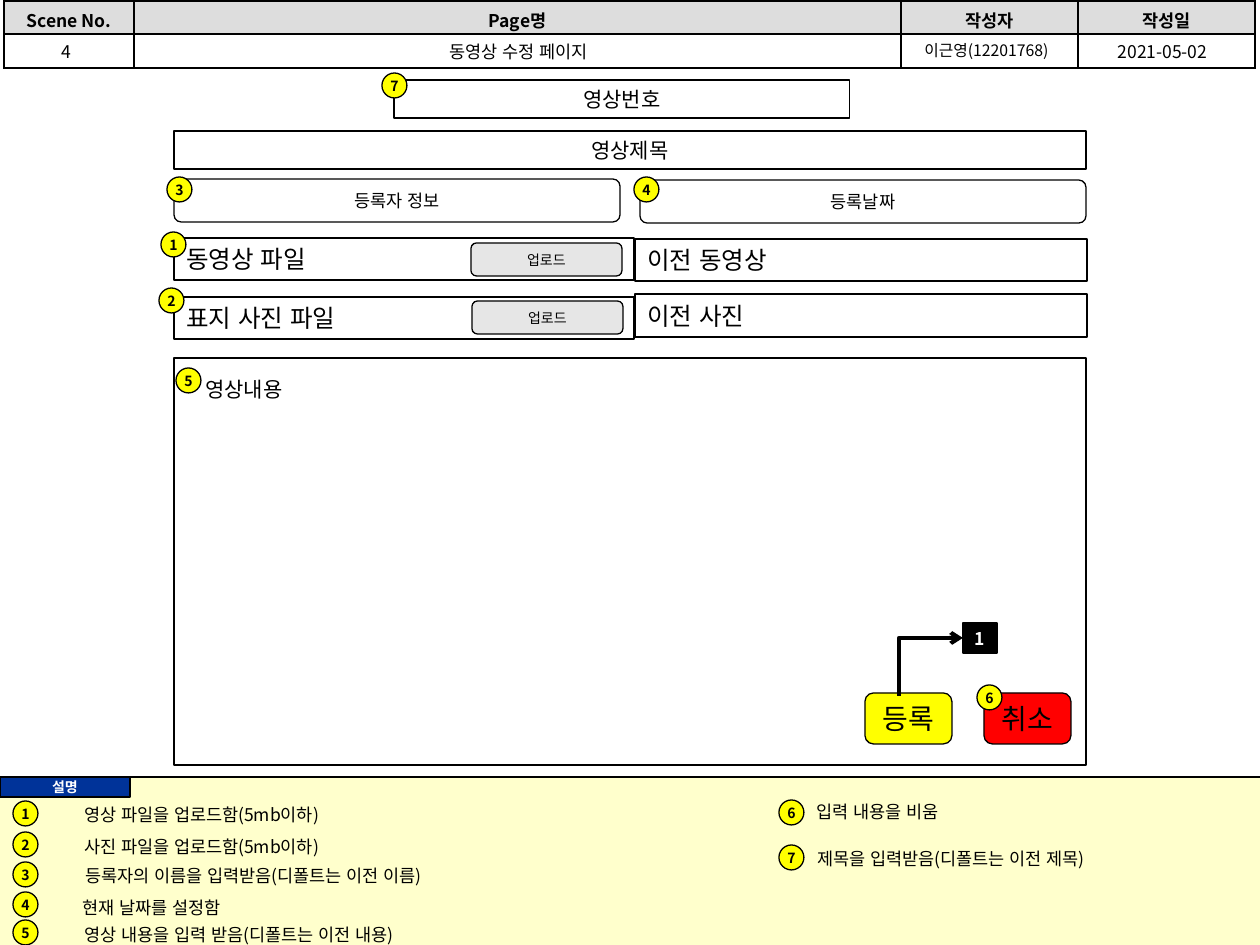
from lxml import etree
from pptx import Presentation
from pptx import util as u
from pptx.dml.color import RGBColor
from pptx.enum import lang, shapes, text
from pptx.oxml import ns

PX = 914400 // 126
FONT = "Noto Sans CJK KR"
COLORS = {
    "black": "000000", "white": "FFFFFF", "header": "DDDDDD", "button": "E6E6E6",
    "yellow": "FFFF00", "red": "FF0000", "navy": "003399", "cream": "FFFFCC",
}
KINDS = shapes.MSO_SHAPE
CENTER, LEFT = text.PP_ALIGN.CENTER, text.PP_ALIGN.LEFT
MIDDLE, TOP = text.MSO_ANCHOR.MIDDLE, text.MSO_ANCHOR.TOP


def write(frame, words, size, color="black", bold=False, align=CENTER):
    """Fill a text frame with one formatted paragraph."""
    paragraph = frame.paragraphs[0]
    paragraph.alignment = align
    run = paragraph.add_run()
    run.text = words
    font_format = {"name": FONT, "size": u.Pt(size), "bold": bold,
                   "language_id": lang.MSO_LANGUAGE_ID.KOREAN}
    for key, value in font_format.items():
        setattr(run.font, key, value)
    run.font.color.rgb = RGBColor.from_string(COLORS[color])
    etree.SubElement(run.font._element, ns.qn("a:ea"), typeface=FONT)


def box(kind, at, fill=None, words="", size=10, color="black", bold=False,
        align=CENTER, anchor=MIDDLE, line=True, tight=False):
    """Draw a shape at a pixel rectangle, with its text inside."""
    shape = slide.shapes.add_shape(kind, *(n * PX for n in at))
    shape.shadow.inherit = False
    if fill:
        shape.fill.solid()
        shape.fill.fore_color.rgb = RGBColor.from_string(COLORS[fill])
    else:
        shape.fill.background()
    if line:
        shape.line.color.rgb = RGBColor.from_string(COLORS["black"])
        shape.line.width = u.Pt(0.75)
    else:
        shape.line.fill.background()
    frame = shape.text_frame
    frame.word_wrap = not tight
    frame.vertical_anchor = anchor
    if tight:
        for side in ("left", "top", "right", "bottom"):
            setattr(frame, "margin_" + side, 0)
    if words:
        write(frame, words, size, color, bold, align)


deck = Presentation()
deck.slide_width, deck.slide_height = 1260 * PX, 945 * PX
slide = deck.slides.add_slide(deck.slide_layouts[6])

# Description panel
box(KINDS.RECTANGLE, (0, 777, 1260, 168), "cream", line=False)

# Page header: titles in the grid, values set over its second row
titles = ["Scene No.", "Page명", "작성자", "작성일"]
column_widths = [130, 767, 177, 177]
header = slide.shapes.add_table(2, 4, 4 * PX, PX, sum(column_widths) * PX, 67 * PX).table
for column, width in zip(header.columns, column_widths):
    column.width = width * PX
for r, height in enumerate((33, 34)):
    header.rows[r].height = height * PX
    for c, title in enumerate(titles):
        cell = header.cell(r, c)
        cell.margin_top, cell.margin_bottom = 6 * PX, 0
        if r == 0:
            write(cell.text_frame, title, 10, bold=True)
        else:
            etree.SubElement(cell.text_frame.paragraphs[0]._p, ns.qn("a:endParaRPr"), sz="1000")
        properties = cell._tc.get_or_add_tcPr()
        for edge in ("lnL", "lnR", "lnT", "lnB"):
            border = etree.SubElement(properties, ns.qn("a:" + edge), w=str(u.Pt(1)))
            solid = etree.SubElement(border, ns.qn("a:solidFill"))
            etree.SubElement(solid, ns.qn("a:srgbClr"), val=COLORS["black"])
        cell.fill.solid()
        cell.fill.fore_color.rgb = RGBColor.from_string(COLORS["white" if r else "header"])
for left, width, words, size in [
    (0, 133, "4", 10),
    (140, 757, "동영상 수정 페이지", 10),
    (903, 167, "이근영(12201768)", 9),
    (1079, 167, "2021-05-02", 10),
]:
    box(KINDS.RECTANGLE, (left, 35, width, 33), None, words, size, anchor=TOP, line=False)

# Panel edge and heading
panel_edge = slide.shapes.add_connector(
    shapes.MSO_CONNECTOR.STRAIGHT, 0, 777 * PX, 1260 * PX, 777 * PX)
box(KINDS.RECTANGLE, (0, 777, 130, 20), "navy", "설명", 8, "white", True, tight=True)

# Form fields
for at, words, size, align in [
    ((394, 80, 456, 38), "영상번호", 12, CENTER),
    ((174, 131, 912, 38), "영상제목", 12, CENTER),
    ((174, 238, 460, 42), "동영상 파일", 14, LEFT),
    ((174, 297, 460, 42), "표지 사진 파일", 14, LEFT),
    ((635, 239, 452, 42), "이전 동영상", 14, LEFT),
    ((635, 294, 452, 43), "이전 사진", 14, LEFT),
    ((174, 358, 912, 407), "", 12, LEFT),
]:
    box(KINDS.RECTANGLE, at, None, words, size, align=align)
box(KINDS.RECTANGLE, (193, 370, 876, 38), None, "영상내용", 12,
    align=LEFT, anchor=TOP, line=False)

# Rounded fields and buttons
for at, fill, words, size, tight in [
    ((174, 179, 446, 43), None, "등록자 정보", 10, False),
    ((640, 180, 446, 43), None, "등록날짜", 10, False),
    ((471, 243, 151, 33), "button", "업로드", 8, False),
    ((472, 301, 151, 33), "button", "업로드", 8, False),
    ((865, 693, 87, 51), "yellow", "등록", 16, True),
    ((984, 693, 87, 51), "red", "취소", 16, True),
]:
    box(KINDS.ROUNDED_RECTANGLE, at, fill, words, size, tight=tight)

# Link from the register button to scene 1
box(KINDS.RECTANGLE, (963, 623, 34, 30), "black", "1", 10, "white", True, tight=True)
scene_link = slide.shapes.add_connector(
    shapes.MSO_CONNECTOR.ELBOW, 960 * PX, 699 * PX, 902 * PX, 635 * PX)
link_properties = scene_link._element.spPr
link_properties.find(ns.qn("a:xfrm")).set("rot", "5400000")
link_properties.find(ns.qn("a:prstGeom")).set("prst", "bentConnector2")
for connector, width in ((panel_edge, 0.75), (scene_link, 2.25)):
    connector.line.color.rgb = RGBColor.from_string(COLORS["black"])
    connector.line.width = u.Pt(width)
    etree.SubElement(connector._element.spPr, ns.qn("a:effectLst"))
etree.SubElement(scene_link.line._get_or_add_ln(), ns.qn("a:tailEnd"), type="arrow")

# Descriptions
for left, top, words in [
    (72, 798, "영상 파일을 업로드함(5mb이하)"),
    (72, 830, "사진 파일을 업로드함(5mb이하)"),
    (73, 859, "등록자의 이름을 입력받음(디폴트는 이전 이름)"),
    (70, 891, "현재 날짜를 설정함"),
    (72, 918, "영상 내용을 입력 받음(디폴트는 이전 내용)"),
    (804, 795, "입력 내용을 비움"),
    (805, 842, "제목을 입력받음(디폴트는 이전 제목)"),
]:
    width = 1166 if left < 630 else 441
    box(KINDS.RECTANGLE, (left, top, width, 33), None, words,
        align=LEFT, anchor=TOP, line=False)

# Numbered markers: on the form, then beside the description
marker_places = [
    [(161, 232), (13, 801)],
    [(159, 288), (13, 832)],
    [(167, 177), (13, 862)],
    [(634, 177), (13, 892)],
    [(176, 368), (13, 920)],
    [(977, 685), (779, 800)],
    [(382, 73), (779, 845)],
]
for number, places in enumerate(marker_places, 1):
    for left, top in places:
        box(KINDS.OVAL, (left, top, 25, 25), "yellow", str(number), 8, bold=True, tight=True)

deck.save("out.pptx")
